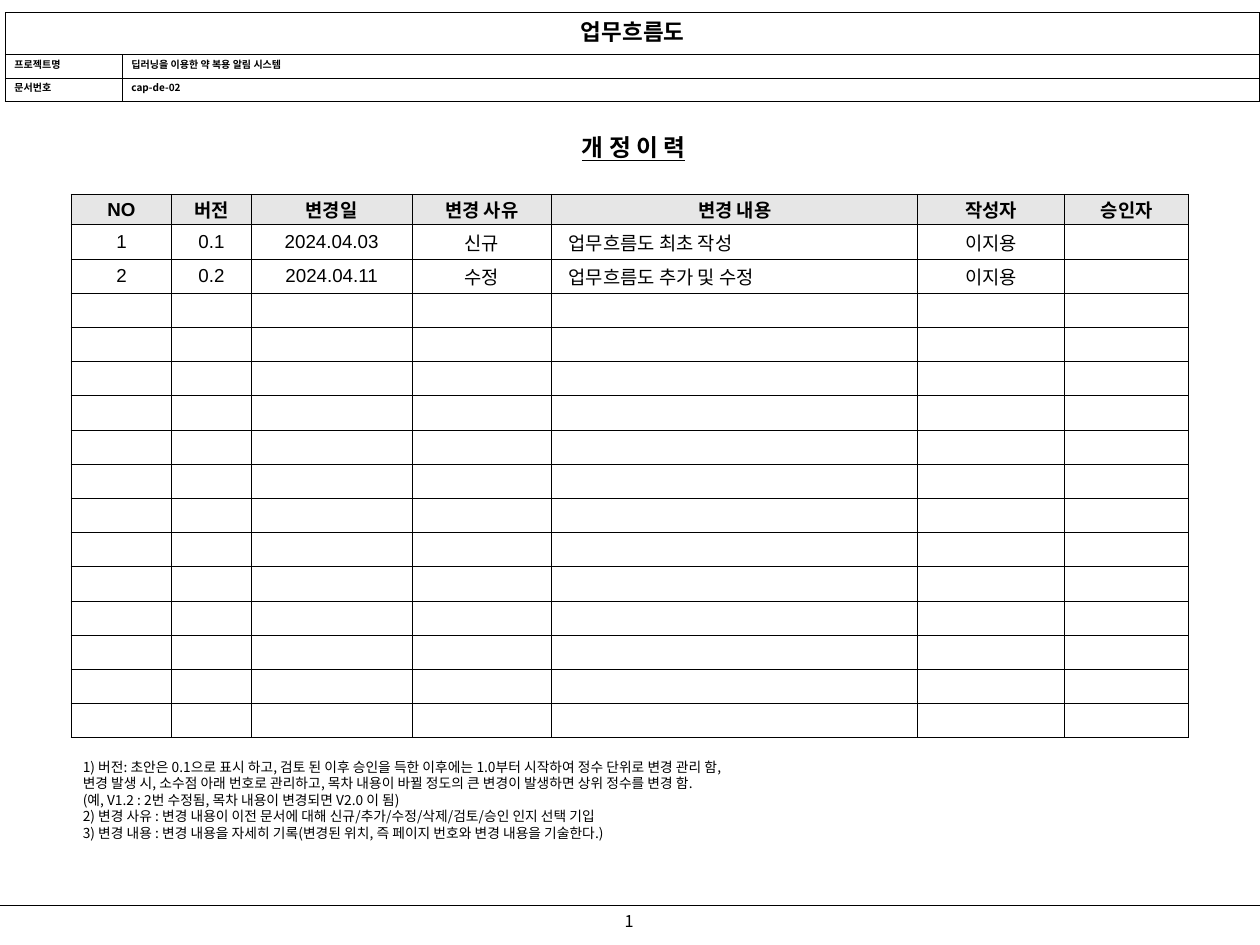
from lxml import etree
from pptx import Presentation
from pptx import util as u
from pptx.dml.color import RGBColor
from pptx.enum import shapes, text
from pptx.oxml import ns

COLORS = {"ink": "000000", "paper": "FFFFFF", "header": "E6E6E6"}
KOREAN = "Noto Sans CJK KR"
CENTER, LEFT = text.PP_ALIGN.CENTER, text.PP_ALIGN.LEFT
MIDDLE, TOP = text.MSO_ANCHOR.MIDDLE, text.MSO_ANCHOR.TOP
COLS, ROWS = 14, 10.5


def color(name):
    return RGBColor.from_string(COLORS[name])


def apply(target, values):
    for name, value in values.items():
        setattr(target, name, value)


class Page:
    """Style and current slide; lengths are in grid columns and rows."""

    def __init__(self, deck):
        self.slide = deck.slides.add_slide(deck.slide_layouts[6])
        self.col = deck.slide_width / COLS
        self.row = deck.slide_height / ROWS

    def x(self, columns):
        return u.Emu(round(columns * self.col))

    def y(self, rows):
        return u.Emu(round(rows * self.row))

    def box(self, left, top, width, height):
        return self.x(left), self.y(top), self.x(width), self.y(height)

    def words(self, paragraph, wording, align=LEFT, font=KOREAN, **style):
        paragraph.alignment = align
        run = paragraph.add_run()
        run.text = wording
        apply(run.font, {"name": font, **style})
        run.font.color.rgb = color("ink")
        east_asian = etree.SubElement(run.font._element, ns.qn("a:ea"))
        east_asian.set("typeface", KOREAN)

    def text(self, area, lines, anchor=TOP, wrap=True, **style):
        frame = self.slide.shapes.add_textbox(*self.box(*area)).text_frame
        apply(frame, {"word_wrap": wrap, "vertical_anchor": anchor,
                      "margin_left": self.x(0.13), "margin_right": self.x(0.13),
                      "margin_top": self.y(0.07), "margin_bottom": self.y(0.07)})
        for number, line in enumerate(lines):
            paragraph = frame.add_paragraph() if number else frame.paragraphs[0]
            self.words(paragraph, line, **style)

    def rule(self, top):
        line = self.slide.shapes.add_connector(
            shapes.MSO_CONNECTOR.STRAIGHT, 0, self.y(top), self.x(COLS), self.y(top))
        line.line.width = u.Pt(1)
        line.line.color.rgb = color("ink")
        etree.SubElement(line._element.spPr, ns.qn("a:effectLst"))

    def table(self, left, top, widths, heights):
        area = self.box(left, top, sum(widths), sum(heights))
        table = self.slide.shapes.add_table(len(heights), len(widths), *area).table
        apply(table, {"first_row": False, "horz_banding": False})
        for column, width in zip(table.columns, widths):
            column.width = self.x(width)
        for row, height in zip(table.rows, heights):
            row.height = self.y(height)
        return table

    def cell(self, cell, wording, fill=None, side=0.09, edge=0, anchor=MIDDLE,
             indent=0, **style):
        apply(cell, {"margin_left": self.x(side + indent), "margin_right": self.x(side),
                     "margin_top": self.y(edge), "margin_bottom": self.y(edge),
                     "vertical_anchor": anchor})
        # Borders come before the fill in the cell properties
        properties = cell._tc.get_or_add_tcPr()
        for border in ("a:lnL", "a:lnR", "a:lnT", "a:lnB"):
            line = etree.SubElement(properties, ns.qn(border), w=str(u.Pt(1)))
            solid = etree.SubElement(line, ns.qn("a:solidFill"))
            etree.SubElement(solid, ns.qn("a:srgbClr"), val=COLORS["ink"])
        if fill:
            cell.fill.solid()
            cell.fill.fore_color.rgb = color(fill)
        else:
            cell.fill.background()
        if wording:
            self.words(cell.text_frame.paragraphs[0], wording, **style)


def main():
    deck = Presentation()
    apply(deck, {"slide_width": u.Inches(14), "slide_height": u.Inches(10.5)})
    page = Page(deck)

    # Footer
    page.text((6.72, 10.06, 0.54, 0.35), ["1"], wrap=False, align=CENTER, size=u.Pt(13))
    page.rule(10.06)

    # Heading
    page.text((5.82, 1.4, 2.44, 0.47), ["개 정 이 력"], anchor=MIDDLE, align=CENTER,
              size=u.Pt(19), bold=True, underline=True)

    # Revision history
    headings = ["NO", "버전", "변경일", "변경 사유", "변경 내용", "작성자", "승인자"]
    revisions = [
        ["1", "0.1", "2024.04.03", "신규", "업무흐름도 최초 작성", "이지용", ""],
        ["2", "0.2", "2024.04.11", "수정", "업무흐름도 추가 및 수정", "이지용", ""],
    ]
    blank_rows = [[""] * len(headings)] * 13
    detail = headings.index("변경 내용")
    history = page.table(0.79, 2.16, [1.12, 0.88, 1.79, 1.55, 4.07, 1.63, 1.38],
                         [0.34] + [0.38] * 15)
    for r, entry in enumerate([headings] + revisions + blank_rows):
        for c, wording in enumerate(entry):
            is_detail = r > 0 and c == detail
            page.cell(history.cell(r, c), wording, fill=None if r else "header",
                      indent=0.1 if is_detail else 0,
                      align=LEFT if is_detail else CENTER,
                      font="Arial", size=u.Pt(15), bold=r == 0)

    # Notes
    page.text((0.79, 8.36, 12.42, 1.06), [
        "1) 버전: 초안은 0.1으로 표시 하고, 검토 된 이후 승인을 득한 이후에는 1.0부터 시작하여 정수 단위로 변경 관리 함,",
        "변경 발생 시, 소수점 아래 번호로 관리하고, 목차 내용이 바뀔 정도의 큰 변경이 발생하면 상위 정수를 변경 함.",
        "(예, V1.2 : 2번 수정됨, 목차 내용이 변경되면 V2.0 이 됨)",
        "2) 변경 사유 : 변경 내용이 이전 문서에 대해 신규/추가/수정/삭제/검토/승인 인지 선택 기입",
        "3) 변경 내용 : 변경 내용을 자세히 기록(변경된 위치, 즉 페이지 번호와 변경 내용을 기술한다.)",
    ], size=u.Pt(11))

    # Document header
    document = page.table(0.06, 0.14, [1.3, 12.64], [0.47, 0.26, 0.26])
    document.cell(0, 0).merge(document.cell(0, 1))
    fields = [["업무흐름도", ""],
              ["프로젝트명", "딥러닝을 이용한 약 복용 알림 시스템"],
              ["문서번호", "cap-de-02"]]
    for r, entry in enumerate(fields):
        for c, wording in enumerate(entry):
            page.cell(document.cell(r, c), wording, fill="paper", side=0.1, edge=0.02,
                      anchor=TOP, align=LEFT if r else CENTER,
                      size=u.Pt(8 if r else 18), bold=True)

    deck.save("out.pptx")


if __name__ == "__main__":
    main()
